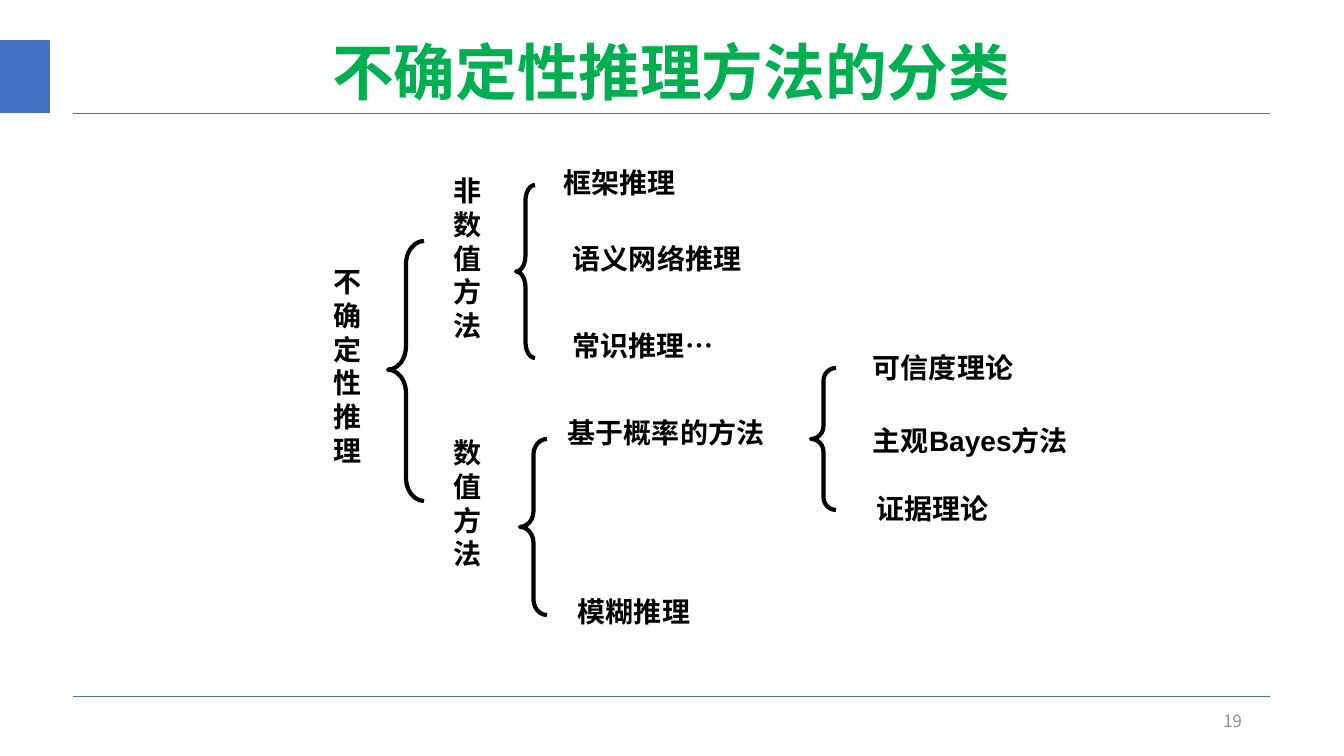
"""Build a slide that classifies uncertain reasoning methods with a brace tree."""
from lxml import etree
from pptx import Presentation
from pptx.dml.color import RGBColor
from pptx.enum.shapes import MSO_CONNECTOR, MSO_SHAPE
from pptx.enum.text import MSO_ANCHOR, PP_ALIGN
from pptx.oxml.ns import qn
from pptx.util import Emu, Pt

LINE, RECT, BRACE = MSO_CONNECTOR.STRAIGHT, MSO_SHAPE.RECTANGLE, MSO_SHAPE.LEFT_BRACE
TOP, MIDDLE = MSO_ANCHOR.TOP, MSO_ANCHOR.MIDDLE
LEFT, CENTER, RIGHT, JUSTIFY = PP_ALIGN.LEFT, PP_ALIGN.CENTER, PP_ALIGN.RIGHT, PP_ALIGN.JUSTIFY
COLORS = {"accent": "4472C4", "title": "00B050", "text": "000000", "number": "8C8C8C"}
ARIAL, NOTO, TIMES = "Arial", "Noto Sans CJK SC", "Times New Roman"


def px(*values):
    return [Emu(round(v * 914400 / 100.8)) for v in values]


def add_text(box, runs, size=20, color="text", bold=True, align=JUSTIFY, anchor=TOP, spacing=None):
    tf = s.shapes.add_textbox(*px(*box)).text_frame
    tf.word_wrap = True
    tf.vertical_anchor = anchor
    p = tf.paragraphs[0]
    p.alignment = align
    p.line_spacing = spacing
    for text, font in runs:
        r = p.add_run()
        r.text = text
        r.font.name = font
        r.font.size = Pt(size)
        r.font.bold = bold
        r.font.color.rgb = RGBColor.from_string(COLORS[color])


prs = Presentation()
prs.slide_width, prs.slide_height = px(1344, 756)
s = prs.slides.add_slide(prs.slide_layouts[6])

for y in (113, 696):
    rule = s.shapes.add_connector(LINE, *px(73, y, 1270, y))
    rule.line.color.rgb = RGBColor.from_string(COLORS["accent"])
    rule.line.width = Pt(0.5)
    etree.SubElement(rule._element.spPr, qn("a:effectLst"))

tab = s.shapes.add_shape(RECT, *px(0, 40, 50, 73))
tab.shadow.inherit = False
tab.fill.solid()
tab.fill.fore_color.rgb = RGBColor.from_string(COLORS["accent"])
tab.line.fill.background()

add_text((92, 33, 1159, 86), [("不确定性推理方法的分类", ARIAL)], 44, "title",
         align=CENTER, anchor=MIDDLE, spacing=0.9)
add_text((950, 701, 302, 40), [("19", NOTO)], 12, "number", False, RIGHT, MIDDLE)

braces = [
    ((388, 241, 36, 260), 0.65, 0.495),
    ((516, 185, 19, 173), 0.82, 0.5),
    ((520, 439, 27, 176), 0.58, 0.5),
    ((811, 368, 25, 142), 0.51, 0.5),
]
for box, curve, tip in braces:
    brace = s.shapes.add_shape(BRACE, *px(*box))
    brace.shadow.inherit = False
    brace.fill.background()
    brace.line.color.rgb = RGBColor.from_string(COLORS["text"])
    brace.line.width = Pt(3)
    brace.adjustments[0], brace.adjustments[1] = curve, tip

branches = [
    ((324, 260, 54, 218), [("不确定性推理", ARIAL)]),
    ((444, 169, 51, 182), [("非数值方法", ARIAL)]),
    ((444, 431, 54, 133), [("数值方法", ARIAL)]),
    ((554, 161, 207, 44), [("框架推理", NOTO)]),
    ((563, 237, 218, 40), [("语义网络推理", NOTO)]),
    ((563, 324, 207, 40), [("常识推理", NOTO), ("…", TIMES)]),
    ((558, 411, 235, 47), [("基于概率的方法", ARIAL)]),
    ((568, 590, 168, 41), [("模糊推理", ARIAL)]),
    ((863, 346, 206, 43), [("可信度理论", ARIAL)]),
    ((863, 419, 231, 40), [("主观Bayes方法", ARIAL)]),
    ((867, 487, 162, 47), [("证据理论", ARIAL)]),
]
for box, runs in branches:
    add_text(box, runs)

prs.save("out.pptx")
